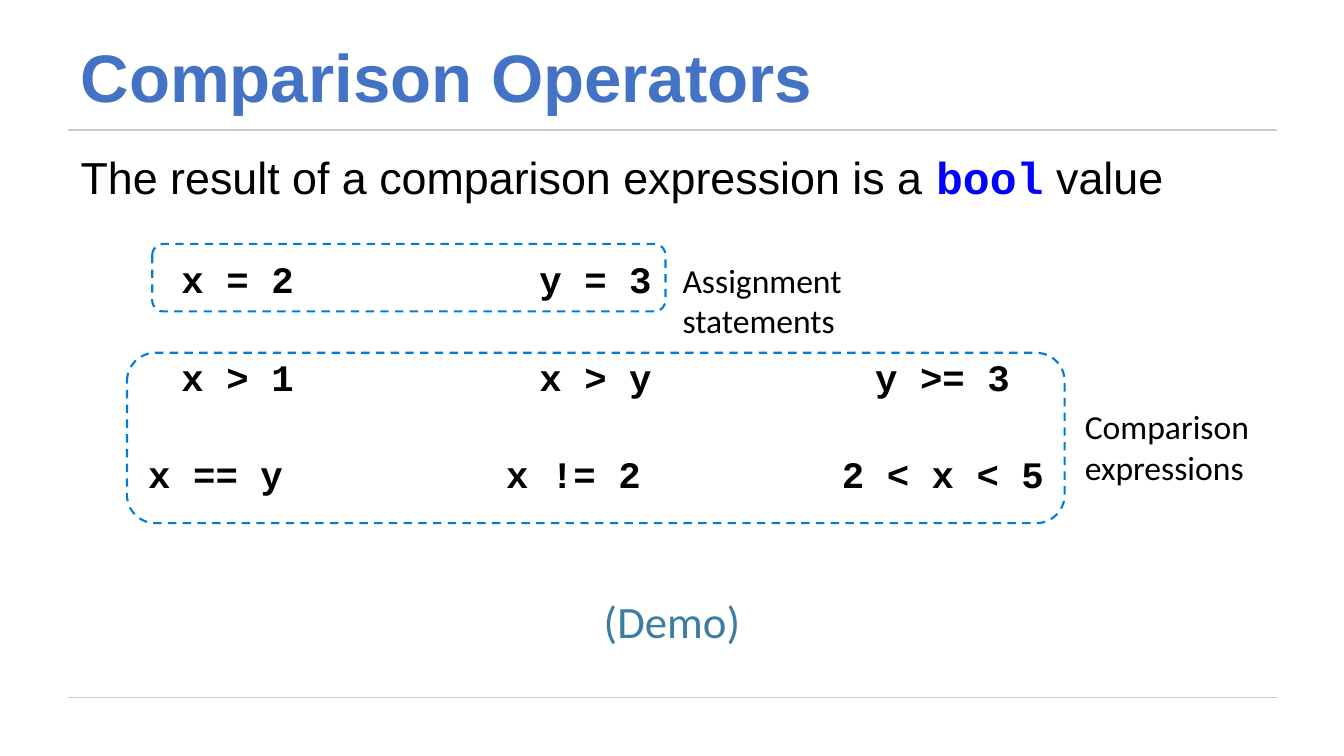
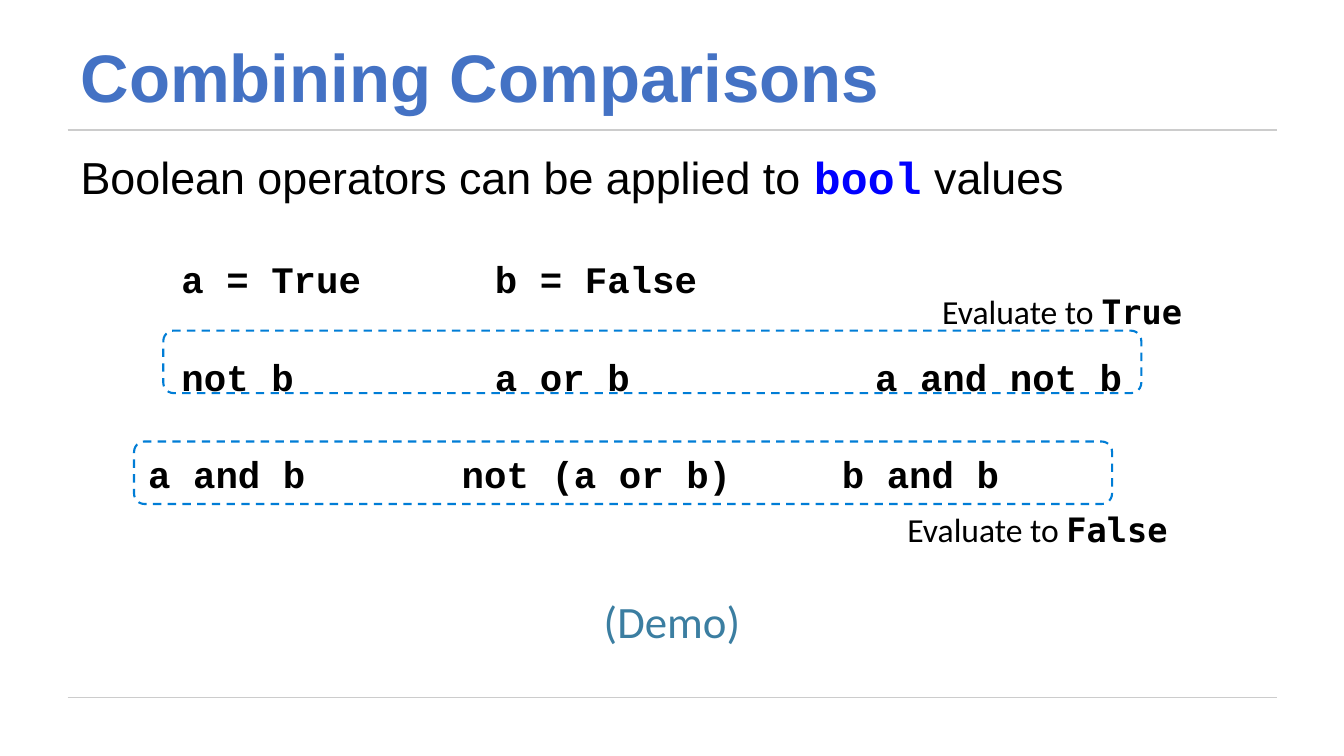
from dataclasses import dataclass

from lxml.etree import SubElement
from pptx import Presentation
from pptx.dml.color import RGBColor
from pptx.enum.dml import MSO_LINE
from pptx.enum.shapes import MSO_CONNECTOR, MSO_SHAPE
from pptx.enum.text import MSO_ANCHOR, MSO_AUTO_SIZE, PP_ALIGN
from pptx.oxml.ns import qn
from pptx.slide import Slide
from pptx.text.text import TextFrame, _Paragraph as Paragraph
from pptx.util import Inches, Pt

TITLE_BLUE = RGBColor(0x44, 0x72, 0xC4)
KEYWORD_BLUE = RGBColor(0x00, 0x00, 0xFF)
OUTLINE_BLUE = RGBColor(0x00, 0x7D, 0xD6)
DEMO_BLUE = RGBColor(0x3B, 0x7E, 0xA1)
RULE_GRAY = RGBColor(0xCC, 0xCC, 0xCC)
BLACK = RGBColor(0x00, 0x00, 0x00)

TITLE_ONLY = 5
INSET = 0.13
LINE_SPACING = 0.9
ROW_GAP = 40.7
LAST_ROW_SHIFT = 0.33
RULE_TOPS = (1.29, 6.92)


@dataclass(frozen=True)
class Style:
    font: str
    size: float
    color: RGBColor = BLACK
    bold: bool = False


@dataclass(frozen=True)
class Box:
    left: float
    top: float
    width: float
    height: float

    def lengths(self) -> tuple[int, ...]:
        return tuple(Inches(n) for n in (self.left, self.top, self.width, self.height))


@dataclass(frozen=True)
class Span:
    text: str
    style: Style


@dataclass(frozen=True)
class Callout:
    outline: Box
    label_box: Box
    label: tuple[Span, ...]
    align: PP_ALIGN = PP_ALIGN.LEFT


@dataclass(frozen=True)
class Lesson:
    title: str
    statement: tuple[Span, ...]
    rows: tuple[tuple[str, ...], ...]
    columns: tuple[float, ...]
    callouts: tuple[Callout, ...]


TITLE = Style("Arial", 48, TITLE_BLUE, True)
BODY = Style("Arial", 32)
KEYWORD = Style("Courier New", 32, KEYWORD_BLUE, True)
CODE = Style("Courier New", 26.7, BLACK, True)
LABEL = Style("Calibri", 24)
LABEL_CODE = Style("DejaVu Sans Mono", 24, BLACK, True)
DEMO = Style("Calibri", 32, DEMO_BLUE)

TITLE_BOX = Box(0.67, 0.3, 9.78, 0.99)
BODY_BOX = Box(0.67, 1.42, 12, 5.28)
DEMO_BOX = Box(5.66, 5.61, 2.01, 1.09)

LESSONS = (
    Lesson(
        "Comparison Operators",
        (
            Span("The result of a comparison expression is a ", BODY),
            Span("bool", KEYWORD),
            Span(" value", BODY),
        ),
        (
            ("x = 2", "y = 3"),
            ("x > 1", "x > y", "y >= 3"),
            ("x == y", "x != 2", "2 < x < 5"),
        ),
        (1, 4.55, 7.88),
        (
            Callout(
                Box(1.51, 2.42, 5.09, 0.67),
                Box(6.64, 2.45, 2.97, 0.54),
                (Span("Assignment statements", LABEL),),
            ),
            Callout(
                Box(1.26, 3.5, 9.3, 1.69),
                Box(10.63, 3.9, 2.23, 0.9),
                (Span("Comparison expressions", LABEL),),
            ),
        ),
    ),
    Lesson(
        "Combining Comparisons",
        (
            Span("Boolean operators can be applied to ", BODY),
            Span("bool", KEYWORD),
            Span(" values", BODY),
        ),
        (
            ("a = True", "b = False"),
            ("not b", "a or b", "a and not b"),
            ("a and b", "not (a or b)", "b and b"),
        ),
        (1, 4.11, 7.88),
        (
            Callout(
                Box(1.62, 3.28, 9.7, 0.62),
                Box(9.09, 2.76, 2.89, 0.62),
                (Span("Evaluate to ", LABEL), Span("True", LABEL_CODE)),
                PP_ALIGN.CENTER,
            ),
            Callout(
                Box(1.33, 4.38, 9.7, 0.62),
                Box(8.78, 4.92, 3.02, 0.62),
                (Span("Evaluate to ", LABEL), Span("False", LABEL_CODE)),
                PP_ALIGN.CENTER,
            ),
        ),
    ),
)


def write_spans(paragraph: Paragraph, spans: tuple[Span, ...]) -> None:
    for span in spans:
        run = paragraph.add_run()
        run.text = span.text
        run.font.name = span.style.font
        run.font.size = Pt(span.style.size)
        run.font.bold = span.style.bold
        run.font.color.rgb = span.style.color


def format_frame(frame: TextFrame, anchor: MSO_ANCHOR) -> None:
    frame.word_wrap = True
    frame.auto_size = MSO_AUTO_SIZE.NONE
    frame.vertical_anchor = anchor
    frame.margin_left = frame.margin_right = Inches(INSET)
    frame.margin_top = frame.margin_bottom = Inches(INSET)


def add_text(
    slide: Slide,
    box: Box,
    spans: tuple[Span, ...],
    align: PP_ALIGN = PP_ALIGN.LEFT,
    anchor: MSO_ANCHOR = MSO_ANCHOR.TOP,
) -> TextFrame:
    frame = slide.shapes.add_textbox(*box.lengths()).text_frame
    format_frame(frame, anchor)
    frame.paragraphs[0].alignment = align
    write_spans(frame.paragraphs[0], spans)
    return frame


def add_rules(slide: Slide) -> None:
    for top in RULE_TOPS:
        rule = slide.shapes.add_connector(
            MSO_CONNECTOR.STRAIGHT, Inches(0.67), Inches(top), Inches(12.67), Inches(top)
        )
        rule.line.color.rgb = RULE_GRAY
        rule.line.width = Pt(0.75)
        SubElement(rule._element.spPr, qn("a:effectLst"))


def set_title(slide: Slide, text: str) -> None:
    title = slide.shapes.title
    title.left, title.top, title.width, title.height = TITLE_BOX.lengths()
    format_frame(title.text_frame, MSO_ANCHOR.BOTTOM)
    paragraph = title.text_frame.paragraphs[0]
    paragraph.alignment = PP_ALIGN.LEFT
    paragraph.line_spacing = LINE_SPACING
    write_spans(paragraph, (Span(text, TITLE),))


def set_tab_stops(paragraph: Paragraph, stops: list[float]) -> None:
    tab_list = SubElement(paragraph._p.get_or_add_pPr(), qn("a:tabLst"))
    for stop in stops:
        SubElement(tab_list, qn("a:tab"), pos=str(Inches(stop)), algn="l")


def add_body(slide: Slide, lesson: Lesson) -> None:
    frame = add_text(slide, BODY_BOX, lesson.statement)
    frame.paragraphs[0].line_spacing = LINE_SPACING
    for row in lesson.rows:
        shift = LAST_ROW_SHIFT if row is lesson.rows[-1] else 0
        paragraph = frame.add_paragraph()
        paragraph.line_spacing = LINE_SPACING
        paragraph.space_before = Pt(ROW_GAP)
        set_tab_stops(paragraph, [column - shift for column in lesson.columns])
        write_spans(paragraph, (Span("\t" + "\t".join(row), CODE),))


def add_callout(slide: Slide, callout: Callout) -> None:
    outline = slide.shapes.add_shape(
        MSO_SHAPE.ROUNDED_RECTANGLE, *callout.outline.lengths()
    )
    outline.shadow.inherit = False
    outline.fill.background()
    outline.line.color.rgb = OUTLINE_BLUE
    outline.line.width = Pt(1.5)
    outline.line.dash_style = MSO_LINE.DASH
    add_text(slide, callout.label_box, callout.label, callout.align)


def main() -> None:
    presentation = Presentation()
    presentation.slide_width = Inches(13.33)
    presentation.slide_height = Inches(7.5)
    for lesson in LESSONS:
        slide = presentation.slides.add_slide(presentation.slide_layouts[TITLE_ONLY])
        add_rules(slide)
        set_title(slide, lesson.title)
        add_body(slide, lesson)
        for callout in lesson.callouts:
            add_callout(slide, callout)
        add_text(
            slide, DEMO_BOX, (Span("(Demo)", DEMO),), PP_ALIGN.CENTER, MSO_ANCHOR.MIDDLE
        )
    presentation.save("out.pptx")


main()
